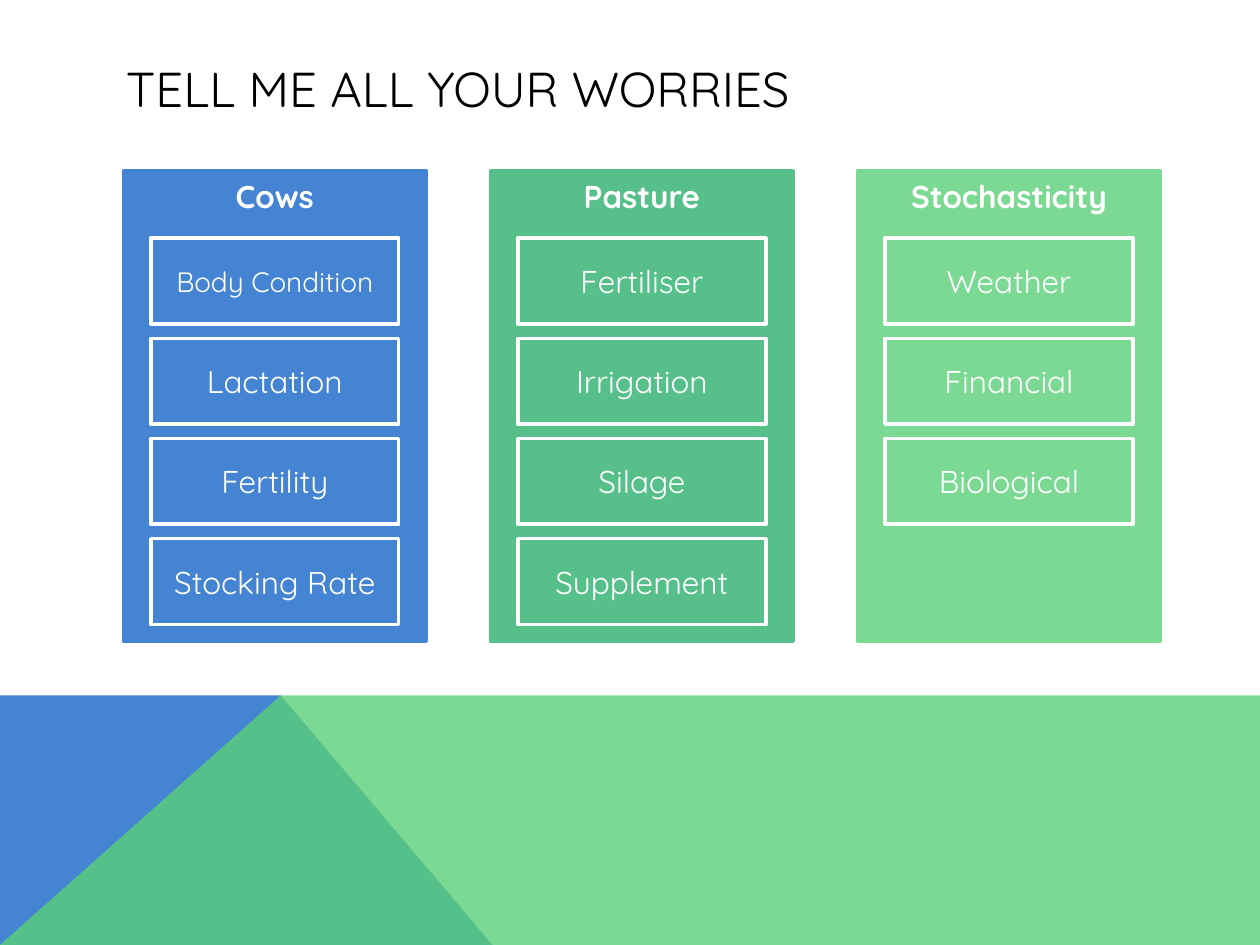
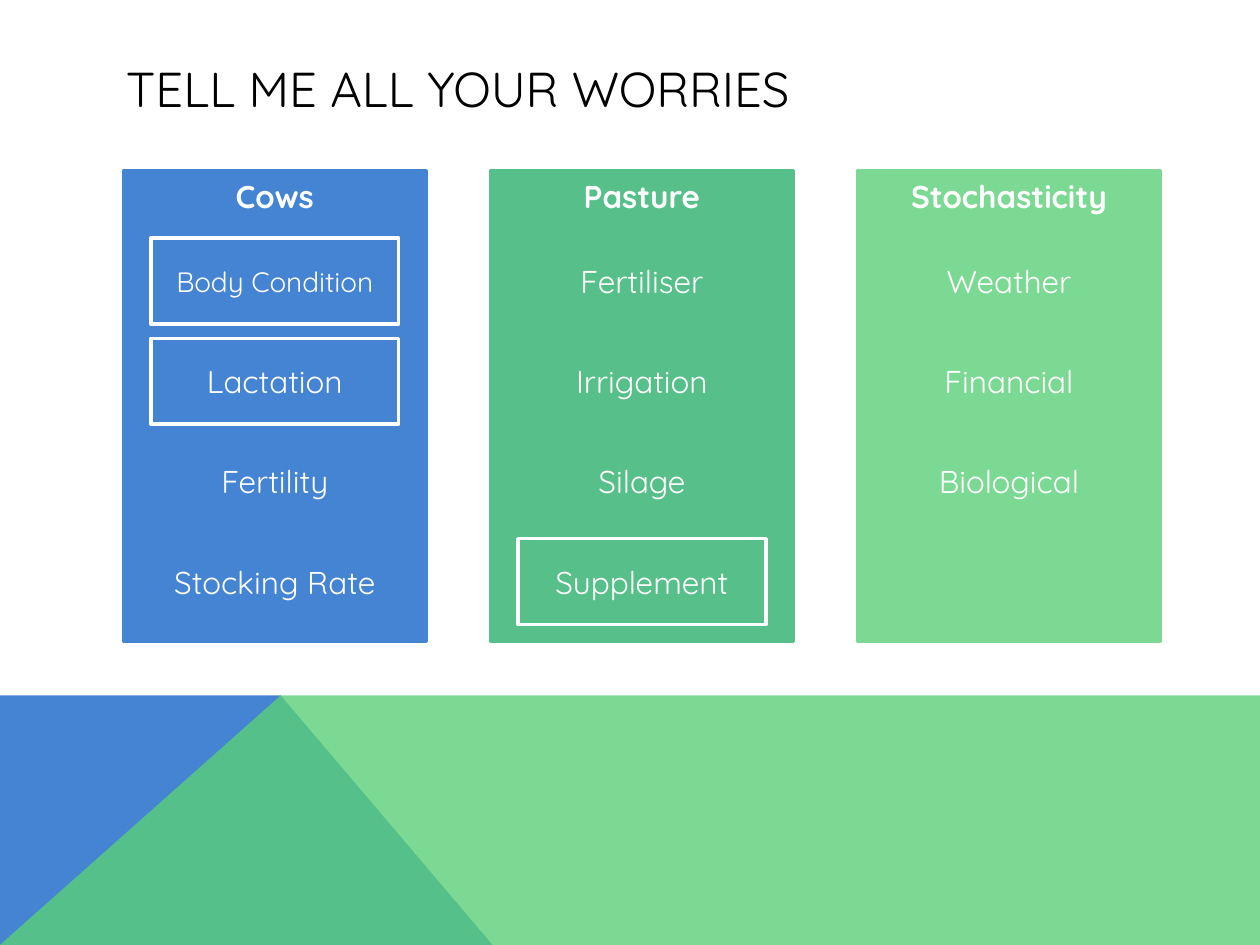
from dataclasses import dataclass

from lxml import etree
from pptx import Presentation
from pptx.dml.color import RGBColor
from pptx.enum.shapes import MSO_SHAPE
from pptx.enum.text import MSO_ANCHOR, PP_ALIGN
from pptx.oxml.ns import qn
from pptx.util import Cm, Pt

RECTANGLE = MSO_SHAPE.RECTANGLE
TOP, MIDDLE = MSO_ANCHOR.TOP, MSO_ANCHOR.MIDDLE
LEFT, CENTER = PP_ALIGN.LEFT, PP_ALIGN.CENTER


@dataclass(frozen=True)
class Theme:
    font: str = "Quicksand"
    blue: str = "4584D3"
    teal: str = "57C08A"
    light_green: str = "7CD993"
    band_green: str = "5BD078"
    white: str = "FFFFFF"
    black: str = "000000"
    title_size: int = 28
    text_size: int = 18
    small_size: int = 16
    line_width: int = 2


THEME = Theme()

# Lengths in centimetres; boxes are left, top, width, height
SLIDE_WIDTH, SLIDE_HEIGHT = 25.4, 19.05
TITLE_BOX = (2.29, 1.02, 20.88, 1.52)
BAND_BOX = (0, 14.02, SLIDE_WIDTH, 5.03)
BAND_PEAK, BAND_FOOT = 5.66, 9.93
PANEL_BOX = (2.49, 3.45, 6.1, 9.47)
PANEL_PITCH = 7.4
ITEM_WIDTH, ITEM_HEIGHT = 5.0, 1.73
ITEM_TOP, ITEM_PITCH = 1.35, 2.02

TITLE = "TELL ME ALL YOUR WORRIES"
PANELS = [
    ("Cows", THEME.blue,
     ["Body Condition", "Lactation", "Fertility", "Stocking Rate"]),
    ("Pasture", THEME.teal,
     ["Fertiliser", "Irrigation", "Silage", "Supplement"]),
    ("Stochasticity", THEME.light_green,
     ["Weather", "Financial", "Biological"]),
]
ALL_ITEMS = {item for _, _, items in PANELS for item in items}
CHOSEN_ITEMS = {"Body Condition", "Lactation", "Supplement"}
SMALL_ITEMS = {"Body Condition"}


def color(value):
    return RGBColor.from_string(value)


def paint(shape, fill, line=None):
    """Give a shape a flat fill and an optional outline."""
    shape.shadow.inherit = False
    shape.fill.solid()
    shape.fill.fore_color.rgb = color(fill)
    if line:
        shape.line.color.rgb = color(line)
        shape.line.width = Pt(THEME.line_width)
    else:
        shape.line.fill.background()


def write(shape, text, size, text_color, align=CENTER, anchor=MIDDLE, bold=False):
    frame = shape.text_frame
    frame.word_wrap = True
    frame.vertical_anchor = anchor
    paragraph = frame.paragraphs[0]
    paragraph.text = text
    paragraph.alignment = align
    font = paragraph.font
    font.name, font.size, font.bold = THEME.font, Pt(size), bold
    font.color.rgb = color(text_color)


def add_polygon(slide, points, fill):
    corners = [(Cm(x), Cm(y)) for x, y in points]
    builder = slide.shapes.build_freeform(*corners[0])
    builder.add_line_segments(corners[1:], close=True)
    shape = builder.convert_to_shape()
    paint(shape, fill)
    return shape


def add_band(slide, box):
    """Blue corner with a translucent green slope over it."""
    left, top, width, height = box
    right, bottom = left + width, top + height
    peak = (left + BAND_PEAK, top)
    add_polygon(slide, [(left, bottom), (left, top), peak,
                        (left + BAND_FOOT, bottom)], THEME.blue)
    slope = add_polygon(slide, [(left, bottom), peak, (right, top),
                                (right, bottom)], THEME.band_green)
    fill_color = slope.fill._xPr.find(qn("a:solidFill"))[0]
    etree.SubElement(fill_color, qn("a:alpha"), val="80000")


def add_title(slide, box):
    title = slide.shapes.add_textbox(*map(Cm, box))
    write(title, TITLE, THEME.title_size, THEME.black, align=LEFT)


def add_panel(shapes, box, heading, fill, items, outlined):
    """Headed column with evenly stacked items."""
    left, top, width, _ = box
    panel = shapes.add_shape(RECTANGLE, *map(Cm, box))
    paint(panel, fill, line=fill)
    write(panel, heading, THEME.text_size, THEME.white, anchor=TOP, bold=True)

    item_left = left + (width - ITEM_WIDTH) / 2
    for row, text in enumerate(items):
        item_top = top + ITEM_TOP + row * ITEM_PITCH
        item = shapes.add_shape(RECTANGLE, Cm(item_left), Cm(item_top),
                                Cm(ITEM_WIDTH), Cm(ITEM_HEIGHT))
        paint(item, fill, line=THEME.white if text in outlined else None)
        size = THEME.small_size if text in SMALL_ITEMS else THEME.text_size
        write(item, text, size, THEME.white)


def add_worries_slide(presentation, outlined, grouped=False):
    slide = presentation.slides.add_slide(presentation.slide_layouts[6])
    add_band(slide, BAND_BOX)
    add_title(slide, TITLE_BOX)
    left, top, width, height = PANEL_BOX
    for column, (heading, fill, items) in enumerate(PANELS):
        shapes = slide.shapes.add_group_shape().shapes if grouped else slide.shapes
        box = (left + column * PANEL_PITCH, top, width, height)
        add_panel(shapes, box, heading, fill, items, outlined)


def main():
    presentation = Presentation()
    presentation.slide_width = Cm(SLIDE_WIDTH)
    presentation.slide_height = Cm(SLIDE_HEIGHT)
    add_worries_slide(presentation, ALL_ITEMS)
    add_worries_slide(presentation, CHOSEN_ITEMS, grouped=True)
    presentation.save("out.pptx")


if __name__ == "__main__":
    main()
